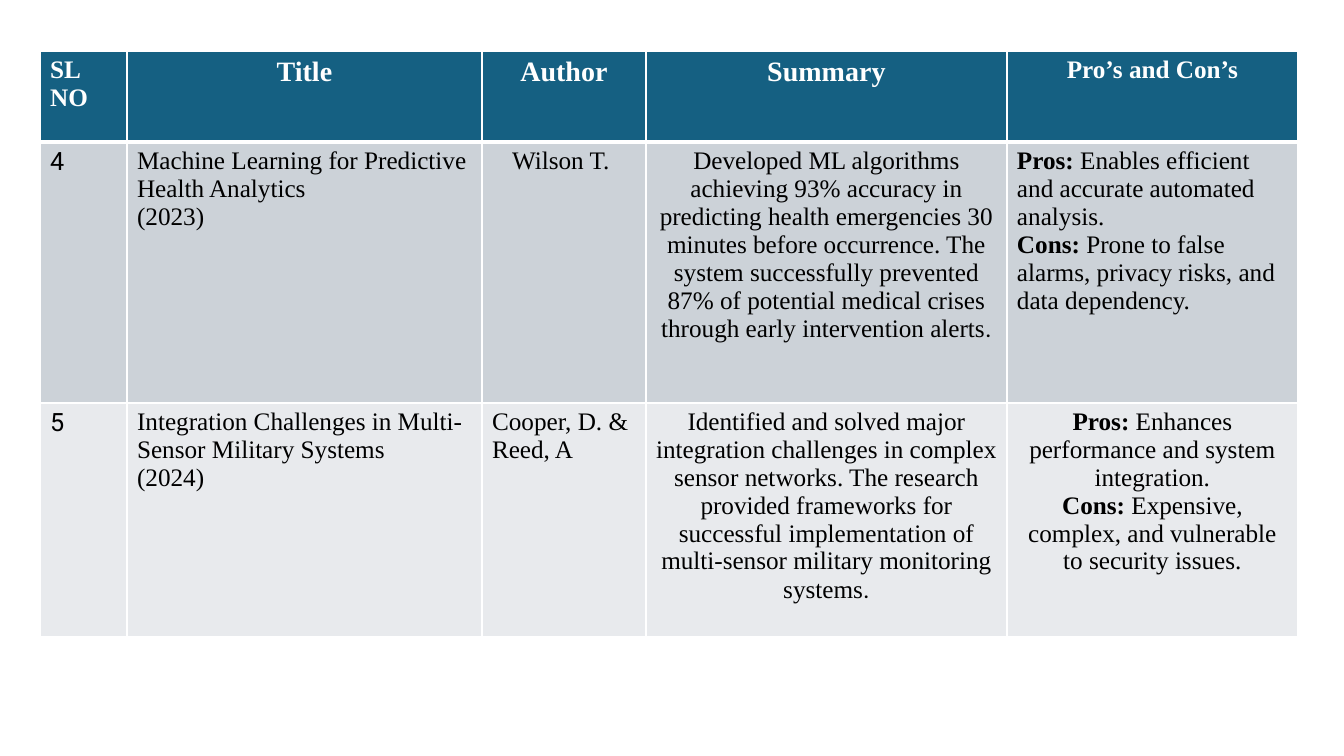
import dataclasses

import lxml.etree
import pptx
import pptx.dml.color
import pptx.enum.text
import pptx.oxml.ns
import pptx.util

EMU_PER_PX = 914400 / 100.8
LEFT = pptx.enum.text.PP_ALIGN.LEFT
CENTER = pptx.enum.text.PP_ALIGN.CENTER


@dataclasses.dataclass(frozen=True)
class Theme:
    header_fill: str = "156082"
    row_fills: tuple = ("CCD2D8", "E8EAED")
    header_text: str = "FFFFFF"
    body_text: str = "000000"
    border: str = "FFFFFF"
    serif: str = "Times New Roman"
    sans: str = "Roboto"
    body_size: int = 18
    heading_size: int = 20
    border_width: int = 1
    header_rule: int = 3


THEME = Theme()

COLUMN_WIDTHS = (87, 355, 164, 361, 291)
ROW_HEIGHTS = (91, 261, 234)

# Each heading: alignment, size, lines
HEADINGS = (
    (LEFT, THEME.body_size, ("SL", "NO")),
    (CENTER, THEME.heading_size, ("Title",)),
    (CENTER, THEME.heading_size, ("Author",)),
    (CENTER, THEME.heading_size, ("Summary",)),
    (CENTER, THEME.body_size, ("Pro’s and Con’s",)),
)


@dataclasses.dataclass(frozen=True)
class Paper:
    number: str
    title: str
    year: str
    author: str
    author_align: int
    summary: str
    pros: str
    cons: str
    verdict_align: int


PAPERS = (
    Paper(
        "4", "Machine Learning for Predictive Health Analytics", "(2023)",
        "Wilson T. ", CENTER,
        "Developed ML algorithms achieving 93% accuracy in predicting health "
        "emergencies 30 minutes before occurrence. The system successfully "
        "prevented 87% of potential medical crises through early "
        "intervention alerts",
        " Enables efficient and accurate automated analysis.",
        " Prone to false alarms, privacy risks, and data dependency.", LEFT,
    ),
    Paper(
        "5", "Integration Challenges in Multi-Sensor Military Systems", "(2024)",
        "Cooper, D. & Reed, A", LEFT,
        "Identified and solved major integration challenges in complex "
        "sensor networks. The research provided frameworks for successful "
        "implementation of multi-sensor military monitoring systems",
        " Enhances performance and system integration.",
        " Expensive, complex, and vulnerable to security issues.", CENTER,
    ),
)


def px(n):
    return pptx.util.Emu(round(n * EMU_PER_PX))


def rgb(value):
    return pptx.dml.color.RGBColor.from_string(value)


def set_borders(cell, top, bottom):
    """Draw all four edges; top and bottom are widths in points."""
    tc_pr = cell._tc.get_or_add_tcPr()
    widths = {"lnL": THEME.border_width, "lnR": THEME.border_width,
              "lnT": top, "lnB": bottom}
    for i, (tag, width) in enumerate(widths.items()):
        ln = lxml.etree.Element(pptx.oxml.ns.qn(f"a:{tag}"),
                                w=str(pptx.util.Pt(width)))
        fill = lxml.etree.SubElement(ln, pptx.oxml.ns.qn("a:solidFill"))
        lxml.etree.SubElement(fill, pptx.oxml.ns.qn("a:srgbClr"), val=THEME.border)
        tc_pr.insert(i, ln)


def add_run(p, text, font=THEME.serif, size=THEME.body_size,
            color=THEME.body_text, bold=False):
    r = p.add_run()
    r.text = text
    r.font.name = font
    r.font.size = pptx.util.Pt(size)
    r.font.color.rgb = rgb(color)
    r.font.bold = bold


def add_paragraphs(cell, lines, align=LEFT, **style):
    tf = cell.text_frame
    for i, line in enumerate(lines):
        p = tf.add_paragraph() if i else tf.paragraphs[0]
        p.alignment = align
        add_run(p, line, **style)


def add_verdict(cell, paper):
    p = cell.text_frame.paragraphs[0]
    p.alignment = paper.verdict_align
    add_run(p, "Pros:", bold=True)
    add_run(p, paper.pros)
    p.add_line_break()
    add_run(p, "Cons:", bold=True)
    add_run(p, paper.cons)


def fill_row(cells, color, top, bottom):
    for cell in cells:
        cell.fill.solid()
        cell.fill.fore_color.rgb = rgb(color)
        set_borders(cell, top, bottom)


def add_header(cells):
    fill_row(cells, THEME.header_fill, THEME.border_width, THEME.header_rule)
    for cell, (align, size, lines) in zip(cells, HEADINGS):
        add_paragraphs(cell, lines, align, size=size,
                       color=THEME.header_text, bold=True)


def add_paper(cells, paper, color, top):
    fill_row(cells, color, top, THEME.border_width)
    number, title, author, summary, verdict = cells
    add_paragraphs(number, [paper.number], font=THEME.sans)
    add_paragraphs(title, [paper.title, paper.year])
    add_paragraphs(author, [paper.author], paper.author_align)
    add_paragraphs(summary, [paper.summary], CENTER)
    add_run(summary.text_frame.paragraphs[0], ".", font=THEME.sans)
    add_verdict(verdict, paper)


def add_survey_table(s):
    table = s.shapes.add_table(
        len(ROW_HEIGHTS), len(COLUMN_WIDTHS), px(40), px(51),
        px(sum(COLUMN_WIDTHS)), px(sum(ROW_HEIGHTS))).table
    for column, width in zip(table.columns, COLUMN_WIDTHS):
        column.width = px(width)
    for row, height in zip(table.rows, ROW_HEIGHTS):
        row.height = px(height)
    header, *body = [list(row.cells) for row in table.rows]
    add_header(header)
    tops = (THEME.header_rule, THEME.border_width)
    for cells, paper, color, top in zip(body, PAPERS, THEME.row_fills, tops):
        add_paper(cells, paper, color, top)


def main():
    prs = pptx.Presentation()
    prs.slide_width, prs.slide_height = px(1344), px(756)
    s = prs.slides.add_slide(prs.slide_layouts[6])
    add_survey_table(s)
    prs.save("out.pptx")


if __name__ == "__main__":
    main()
